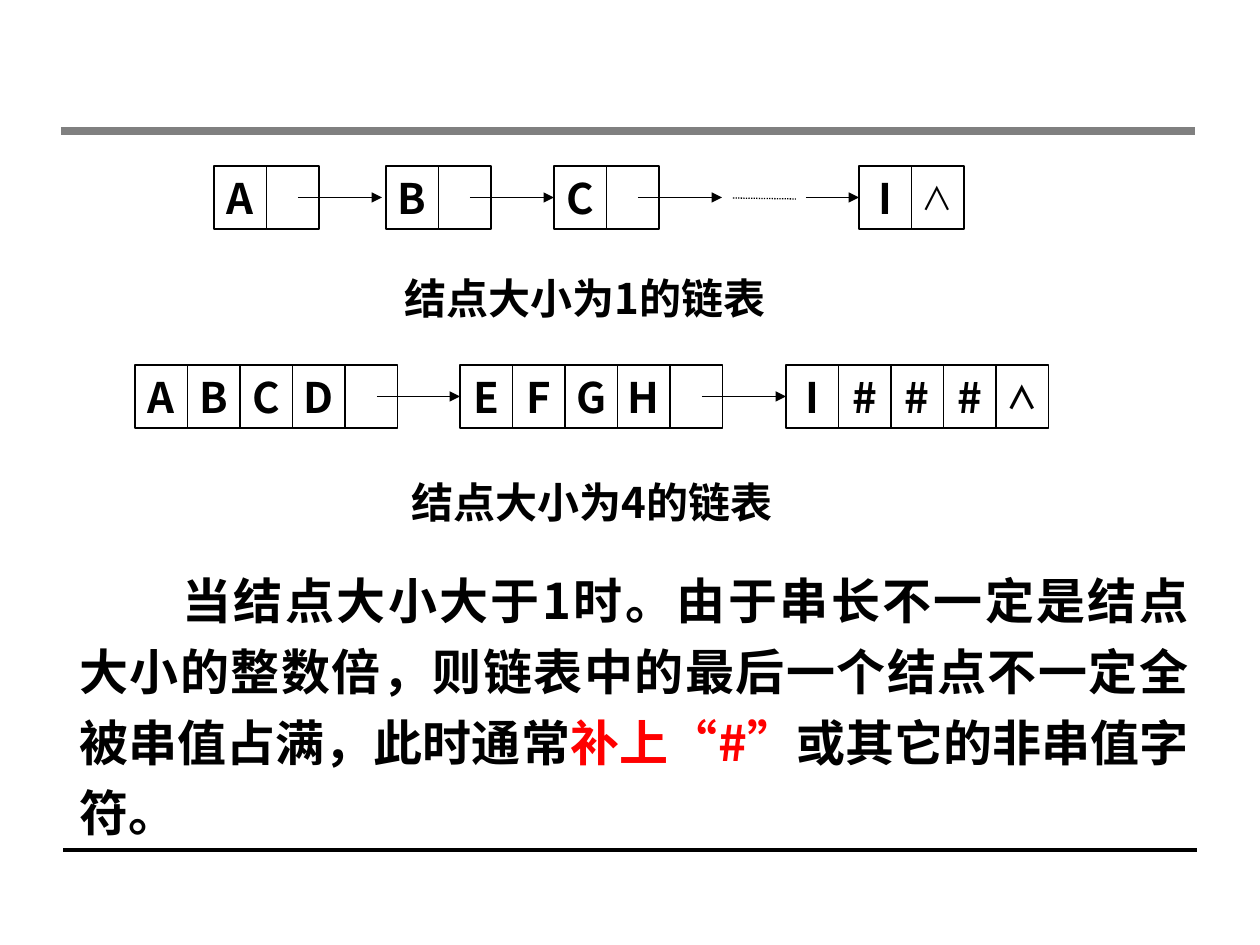
from lxml import etree
from pptx import Presentation
from pptx import util as u
from pptx.dml.color import RGBColor
from pptx.enum import dml, shapes, text
from pptx.oxml.ns import qn

SCALE = 914400 / 126
BLACK = RGBColor(0, 0, 0)
GRAY = RGBColor(128, 128, 128)
RED = RGBColor(255, 0, 0)
FONT = "Noto Sans CJK SC"

CELL, HEIGHT = 52.5, 63
NODE_ROWS = [
    (166, [(214, ["A", ""]), (386, ["B", ""]), (554, ["C", ""]), (859, ["I", "∧"])]),
    (365, [(135, ["A", "B", "C", "D", ""]), (460, ["E", "F", "G", "H", ""]),
           (786, ["I", "#", "#", "#", "∧"])]),
]
LINKS = [
    (0, 298, 382, None),
    (0, 470, 554, 2),
    (0, 638, 722, None),
    (0, 806, 859, 3),
    (1, 377, 460, 1),
    (1, 702, 786, 2),
]
CAPTIONS = [
    (275, 266, "结点大小为1的链表"),
    (282, 470, "结点大小为4的链表"),
]
RULES = [
    (63, 850, 1197, BLACK, 2),
    (61, 131, 1195, GRAY, 5),
]
EXPLANATION = [
    ("当结点大小大于1时。由于串长不一定是结点大小的整数倍，"
     "则链表中的最后一个结点不一定全被串值占满，此时通常", BLACK),
    ("补上“#”", RED),
    ("或其它的非串值字符。", BLACK),
]


def px(*lengths):
    return [u.Emu(round(length * SCALE)) for length in lengths]


def style(paragraph, size, align, bold=True):
    paragraph.alignment = align
    font = paragraph.font
    font.name, font.size, font.bold = FONT, u.Pt(size), bold
    font.color.rgb = BLACK
    defaults = paragraph._p.pPr.find(qn("a:defRPr"))
    etree.SubElement(defaults, qn("a:ea"), typeface=FONT)


def add_line(x1, y1, x2, y2, color=BLACK, width=0.75, arrow=False):
    line = slide.shapes.add_connector(
        shapes.MSO_CONNECTOR.STRAIGHT, *px(x1, y1, x2, y2))
    line.line.color.rgb = color
    line.line.width = u.Pt(width)
    if arrow:
        etree.SubElement(line.line._get_or_add_ln(), qn("a:tailEnd"), type="triangle")
    etree.SubElement(line._element.spPr, qn("a:effectLst"))
    return line


def add_cell(x, y, letter, bold):
    cell = slide.shapes.add_shape(
        shapes.MSO_SHAPE.RECTANGLE, *px(x, y, CELL, HEIGHT))
    cell.shadow.inherit = False
    cell.fill.background()
    cell.line.color.rgb = BLACK
    cell.line.width = u.Pt(0.75)
    if letter:
        frame = cell.text_frame
        frame.word_wrap = False
        frame.vertical_anchor = text.MSO_ANCHOR.MIDDLE
        frame.text = letter
        style(frame.paragraphs[0], 18 if letter == "∧" else 24,
              text.PP_ALIGN.CENTER, bold)
    return cell


def add_text(x, y, width, height):
    frame = slide.shapes.add_textbox(*px(x, y, width, height)).text_frame
    frame.word_wrap = True
    return frame.paragraphs[0]


deck = Presentation()
deck.slide_width, deck.slide_height = px(1260, 945)
slide = deck.slides.add_slide(deck.slide_layouts[6])

for left, y, right, color, width in RULES:
    add_line(left, y, right, y, color, width)

explanation = add_text(67, 553, 1134, 297)
style(explanation, 28, text.PP_ALIGN.JUSTIFY)
explanation.line_spacing = 1.2
explanation._p.pPr.set("indent", str(px(103)[0]))
for words, color in EXPLANATION:
    run = explanation.add_run()
    run.text = words
    if color != BLACK:
        run.font.color.rgb = color

for x, y, words in CAPTIONS:
    caption = add_text(x, y, 620, HEIGHT)
    caption.text = words
    style(caption, 24, text.PP_ALIGN.CENTER)

first_cells = []
for row, (y, nodes) in enumerate(NODE_ROWS):
    cells = [[add_cell(x + i * CELL, y, letter, letter != "∧" or row == 1)
              for i, letter in enumerate(letters)] for x, letters in nodes]
    first_cells.append([node[0] for node in cells])

for row, start, end, target in LINKS:
    y = NODE_ROWS[row][0] + HEIGHT / 2
    link = add_line(start, y, end, y, arrow=True)
    if target is not None:
        link.end_connect(first_cells[row][target], 1)

omitted = add_line(733, 198, 796, 199)
omitted.line.dash_style = dml.MSO_LINE.ROUND_DOT

deck.save("out.pptx")
